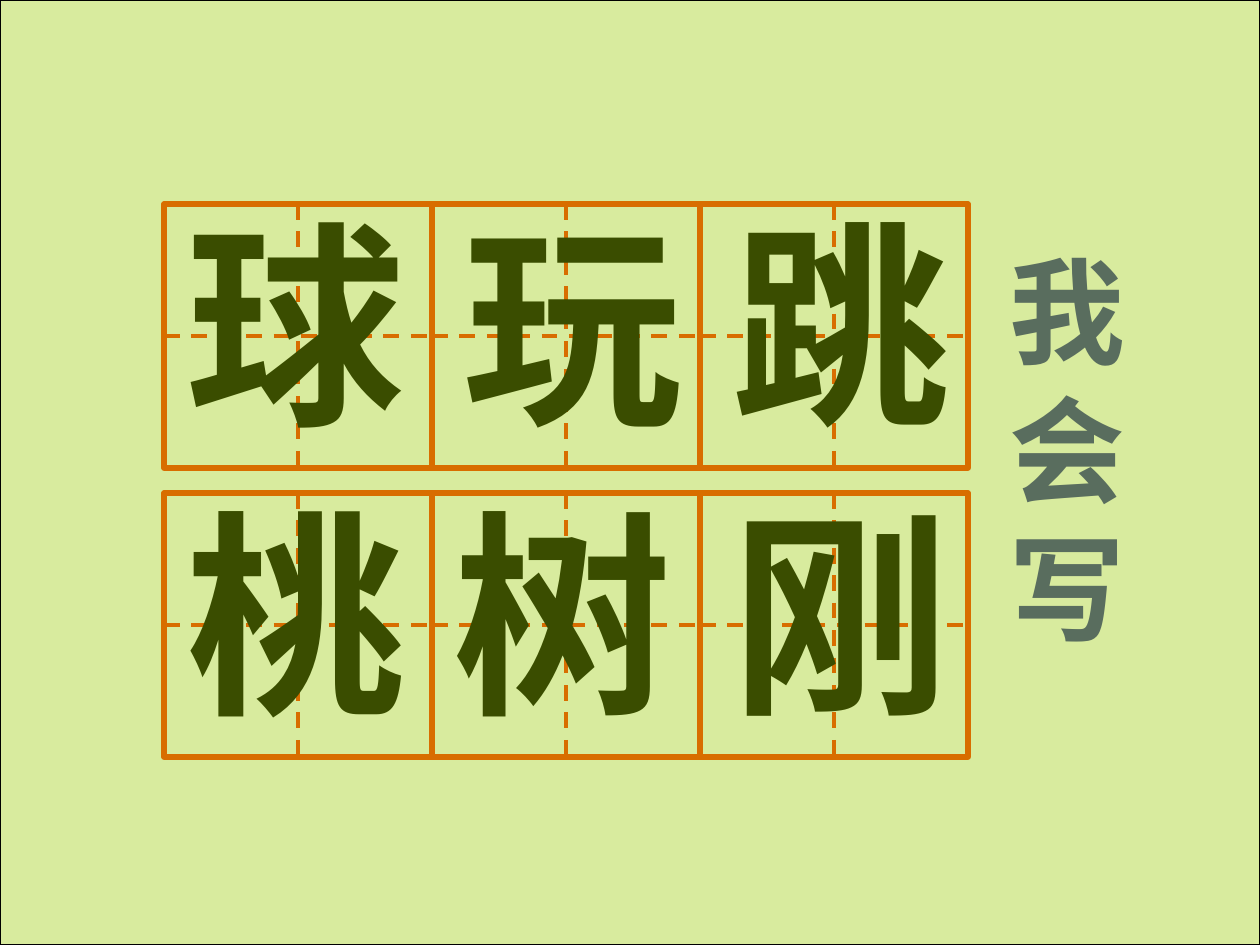
import pptx
import pptx.util
import pptx.dml.color
import pptx.enum.dml
import pptx.enum.shapes
import pptx.enum.text
import pptx.oxml.ns
import lxml.etree

EMU_PER_PX = 914400 / 126
CELL_W, CELL_H = 268, 264
GRID_LEFT, ROW_TOPS = 164, (204, 493)
CHARACTERS = (
    (("球", 174, 297), ("玩", 451, 238), ("跳", 719, 228)),
    (("桃", 174, 228), ("树", 441, 228), ("刚", 719, 258)),
)


def px(n):
    return pptx.util.Emu(round(n * EMU_PER_PX))


def color(value):
    return pptx.dml.color.RGBColor.from_string(value)


def write(sp, text, size, ink, font="Arial", bold=True):
    tf = sp.text_frame
    tf.word_wrap = True
    tf.auto_size = pptx.enum.text.MSO_AUTO_SIZE.SHAPE_TO_FIT_TEXT
    tf.vertical_anchor = pptx.enum.text.MSO_ANCHOR.TOP
    p = tf.paragraphs[0]
    p.alignment = pptx.enum.text.PP_ALIGN.LEFT
    r = p.add_run()
    r.text = text
    r.font.name = font
    r.font.size = pptx.util.Pt(size)
    r.font.bold = bold
    r.font.color.rgb = color(ink)


class Board:
    """Holds the slide and the style of a writing-practice board."""

    grid, ink, title = "FF3300", "000000", "333399"

    def __init__(self, slide):
        self.slide = slide

    def rect(self, shapes, x, y, w, h, fill=None, alpha=100, line=None, weight=1):
        sp = shapes.add_shape(pptx.enum.shapes.MSO_SHAPE.RECTANGLE, px(x), px(y), px(w), px(h))
        sp.shadow.inherit = False
        if fill:
            sp.fill.solid()
            sp.fill.fore_color.rgb = color(fill)
            clr = sp.fill._xPr.find(".//" + pptx.oxml.ns.qn("a:srgbClr"))
            lxml.etree.SubElement(clr, pptx.oxml.ns.qn("a:alpha"), val=str(alpha * 1000))
        else:
            sp.fill.background()
        if line:
            sp.line.color.rgb = color(line)
            sp.line.width = pptx.util.Pt(weight)
        else:
            sp.line.fill.background()
        return sp

    def dash(self, shapes, x1, y1, x2, y2):
        cx = shapes.add_connector(pptx.enum.shapes.MSO_CONNECTOR.STRAIGHT, px(x1), px(y1), px(x2), px(y2))
        cx.line.color.rgb = color(self.grid)
        cx.line.width = pptx.util.Pt(2.25)
        cx.line.dash_style = pptx.enum.dml.MSO_LINE.DASH
        lxml.etree.SubElement(cx._element.spPr, pptx.oxml.ns.qn("a:effectLst"))
        return cx

    def cell(self, x, y):
        shapes = self.slide.shapes.add_group_shape().shapes
        mid_x, mid_y = x + CELL_W // 2, y + CELL_H // 2
        across = self.dash(shapes, x, mid_y, x + CELL_W, mid_y)
        down = self.dash(shapes, mid_x, y, mid_x, y + CELL_W)
        frame = self.rect(shapes, x, y, CELL_W, CELL_H, line=self.grid, weight=3)
        across.begin_connect(frame, 1)
        across.end_connect(frame, 3)
        down.begin_connect(frame, 0)

    def character(self, text, x, y, w):
        sp = self.slide.shapes.add_textbox(px(x), px(y), px(w), px(276))
        write(sp, text, 125, self.ink)

    def heading(self, text, x, y, w, h):
        sp = self.rect(self.slide.shapes, x, y, w, h, fill="FFFFFF", alpha=52)
        write(sp, text, 66, self.title)

    def tint(self, w, h):
        self.rect(self.slide.shapes, 0, 0, w, h, fill="99CC00", alpha=38, line="000000", weight=0.75)


def main():
    prs = pptx.Presentation()
    prs.slide_width, prs.slide_height = px(1260), px(945)
    board = Board(prs.slides.add_slide(prs.slide_layouts[6]))
    for top in ROW_TOPS:
        for col in range(3):
            board.cell(GRID_LEFT + col * CELL_W, top)
    board.heading("我会写", 997, 234, 154, 428)
    for top, row in zip(ROW_TOPS, CHARACTERS):
        for text, left, width in row:
            board.character(text, left, top - 20, width)
    board.tint(1260, 945)
    prs.save("out.pptx")


if __name__ == "__main__":
    main()
